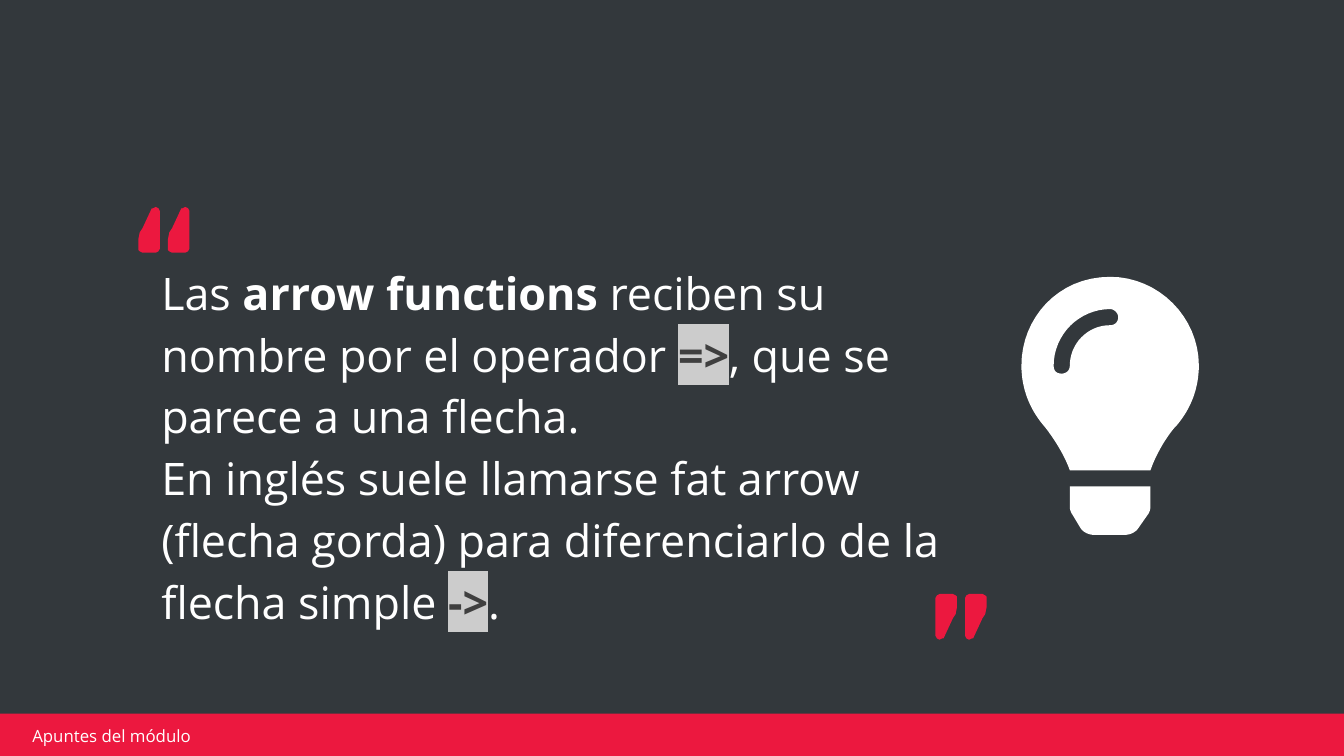
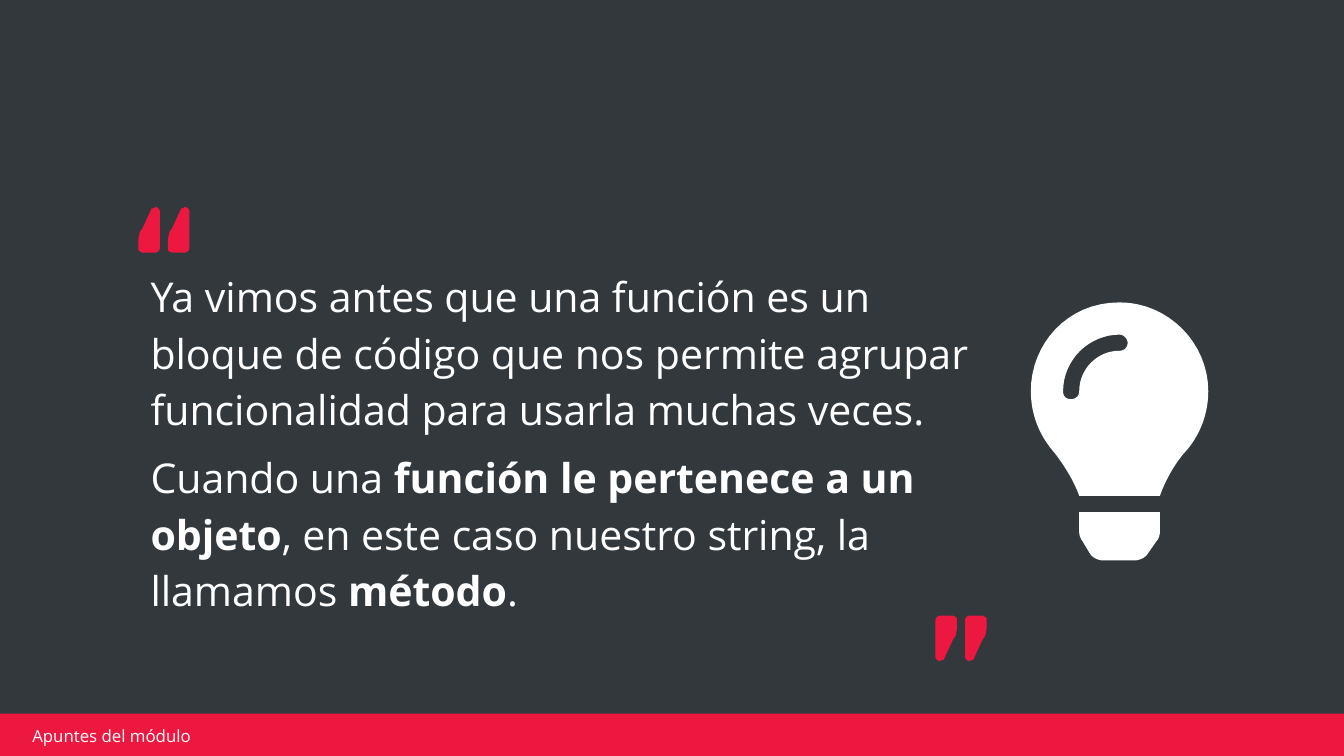
from lxml import etree
from pptx import Presentation
from pptx.dml.color import RGBColor
from pptx.enum.shapes import MSO_SHAPE
from pptx.enum.text import MSO_ANCHOR, MSO_AUTO_SIZE, PP_ALIGN
from pptx.oxml.ns import qn
from pptx.util import Inches, Pt

RECTANGLE = MSO_SHAPE.RECTANGLE
MIDDLE = MSO_ANCHOR.MIDDLE
NO_AUTOFIT = MSO_AUTO_SIZE.NONE
LEFT = PP_ALIGN.LEFT

DARK = RGBColor(0x33, 0x38, 0x3C)
RED = RGBColor(0xEC, 0x18, 0x3F)
WHITE = RGBColor(0xFF, 0xFF, 0xFF)
CODE_TEXT = RGBColor(0x3F, 0x3F, 0x3F)
CODE_BACK = RGBColor(0xCC, 0xCC, 0xCC)
FONT = "Open Sans"

FOOTER = "Apuntes del módulo"
NORMAL, BOLD, CODE = "normal", "bold", "code"

QUOTES = [
    {
        "area": (1.1, 1.96, 6.05, 2.67),
        "size": 24,
        "space_before": 0,
        "bulb": (7.6, 2.06),
        "closing_top": 4.42,
        "paragraphs": [
            [
                ("Las ", NORMAL),
                ("arrow functions", BOLD),
                (" reciben su nombre por el operador ", NORMAL),
                ("=>", CODE),
                (", que se parece a una flecha.", NORMAL),
            ],
            [
                ("En inglés suele llamarse fat arrow (flecha gorda) "
                 "para diferenciarlo de la flecha simple ", NORMAL),
                ("->", CODE),
                (".", NORMAL),
            ],
        ],
    },
    {
        "area": (1.02, 2.16, 6.6, 2.22),
        "size": 22,
        "space_before": 6,
        "bulb": (7.67, 2.25),
        "closing_top": 4.58,
        "paragraphs": [
            [
                ("Ya vimos antes que una función es un bloque de código que nos "
                 "permite agrupar funcionalidad para usarla muchas veces.", NORMAL),
            ],
            [
                ("Cuando una ", NORMAL),
                ("función le pertenece a un objeto", BOLD),
                (", en este caso nuestro string, la llamamos ", NORMAL),
                ("método", BOLD),
                (".", NORMAL),
            ],
        ],
    },
]

OPENING_MARKS = (1.03, 1.54)
CLOSING_LEFT = 6.96
MARK_PITCH = 0.22
MARK = [
    (0.13, 0), (0.11, 0.01), (0.1, 0.01), (0.03, 0.16), (0.01, 0.19),
    (0, 0.24), (0, 0.32), (0.01, 0.33), (0.03, 0.34), (0.13, 0.34),
    (0.15, 0.33), (0.16, 0.31), (0.16, 0.03), (0.15, 0.01),
]

BULB_BASE = [
    [(0.36, 1.71)],
    [(0.36, 1.73), (0.37, 1.76), (0.38, 1.77)],
    [(0.44, 1.87)],
    [(0.46, 1.9), (0.5, 1.92), (0.54, 1.92)],
    [(0.77, 1.92)],
    [(0.81, 1.92), (0.85, 1.9), (0.87, 1.87)],
    [(0.94, 1.77)],
    [(0.95, 1.76), (0.96, 1.73), (0.96, 1.71)],
    [(0.96, 1.56)],
    [(0.36, 1.56)],
]
BULB_GLASS = [
    [(0, 0.66)],
    [(0, 0.83), (0.06, 0.98), (0.16, 1.1)],
    [(0.22, 1.17), (0.32, 1.32), (0.36, 1.44)],
    [(0.96, 1.44)],
    [(1, 1.32), (1.09, 1.17), (1.16, 1.1)],
    [(1.26, 0.98), (1.32, 0.83), (1.32, 0.66)],
    [(1.32, 0.3), (1.02, 0), (0.66, 0)],
    [(0.27, 0), (0, 0.31), (0, 0.66)],
]
BULB_SHINE = [
    [(0.66, 0.36)],
    [(0.49, 0.36), (0.36, 0.5), (0.36, 0.66)],
    [(0.36, 0.7), (0.33, 0.72), (0.3, 0.72)],
    [(0.26, 0.72), (0.24, 0.7), (0.24, 0.66)],
    [(0.24, 0.43), (0.43, 0.24), (0.66, 0.24)],
    [(0.69, 0.24), (0.72, 0.27), (0.72, 0.3)],
    [(0.72, 0.34), (0.69, 0.36), (0.66, 0.36)],
]
CURVE_STEPS = 16


def flatten(segments):
    points = list(segments[0])
    for segment in segments[1:]:
        if len(segment) == 1:
            points += segment
            continue
        controls = [points[-1], *segment]
        for step in range(1, CURVE_STEPS + 1):
            t = step / CURVE_STEPS
            weights = ((1 - t) ** 3, 3 * t * (1 - t) ** 2, 3 * t * t * (1 - t), t ** 3)
            points.append(tuple(
                sum(weight * control[axis] for weight, control in zip(weights, controls))
                for axis in (0, 1)
            ))
    return points


def paint(shape, color):
    shape.shadow.inherit = False
    shape.fill.solid()
    shape.fill.fore_color.rgb = color
    shape.line.fill.background()


def add_outline(shapes, left, top, contours, color):
    placed = [[(Inches(left + x), Inches(top + y)) for x, y in contour]
              for contour in contours]
    builder = shapes.build_freeform(*placed[0][0])
    builder.add_line_segments(placed[0][1:])
    for contour in placed[1:]:
        builder.move_to(*contour[0])
        builder.add_line_segments(contour[1:])
    shape = builder.convert_to_shape()
    paint(shape, color)
    return shape


def add_marks(page, left, top, rotation):
    group = page.shapes.add_group_shape()
    for index in range(2):
        mark = add_outline(group.shapes, left + index * MARK_PITCH, top, [MARK], RED)
        mark.rotation = rotation


def set_frame(frame, horizontal, vertical):
    frame.word_wrap = True
    frame.auto_size = NO_AUTOFIT
    frame.vertical_anchor = MIDDLE
    frame.margin_left = frame.margin_right = Inches(horizontal)
    frame.margin_top = frame.margin_bottom = Inches(vertical)


def add_span(para, text, size, style=NORMAL):
    span = para.add_run()
    span.text = text
    span.font.size = Pt(size)
    span.font.bold = style != NORMAL
    span.font.color.rgb = CODE_TEXT if style == CODE else WHITE
    if style == CODE:
        highlight = etree.SubElement(span._r.get_or_add_rPr(), qn("a:highlight"))
        etree.SubElement(highlight, qn("a:srgbClr"), val=str(CODE_BACK))
    span.font.name = FONT


def add_quote(page, quote):
    title = page.shapes.title.element
    title.getparent().remove(title)
    body = page.placeholders[1]
    body.left, body.top, body.width, body.height = map(Inches, quote["area"])
    frame = body.text_frame
    set_frame(frame, 0.1, 0.05)
    for index, spans in enumerate(quote["paragraphs"]):
        para = frame.add_paragraph() if index else frame.paragraphs[0]
        properties = para._p.get_or_add_pPr()
        properties.set("marL", "0")
        properties.set("indent", "0")
        etree.SubElement(properties, qn("a:buNone"))
        para.alignment = LEFT
        para.line_spacing = 1.15
        para.space_before = Pt(quote["space_before"] if index else 0)
        for text, style in spans:
            add_span(para, text, quote["size"], style)


def add_footer(page):
    band = page.shapes.add_shape(
        RECTANGLE, Inches(-0.02), Inches(5.31), Inches(10.03), Inches(0.36))
    paint(band, RED)
    box = page.shapes.add_textbox(Inches(0.19), Inches(5.4), Inches(2.39), Inches(0.15))
    set_frame(box.text_frame, 0.05, 0.02)
    add_span(box.text_frame.paragraphs[0], FOOTER, 9)


def main():
    deck = Presentation()
    deck.slide_width = Inches(10)
    deck.slide_height = Inches(10) * 9 // 16
    bulb = [flatten(part) for part in (BULB_BASE, BULB_GLASS, BULB_SHINE)]
    for quote in QUOTES:
        page = deck.slides.add_slide(deck.slide_layouts[1])
        page.background.fill.solid()
        page.background.fill.fore_color.rgb = DARK
        add_quote(page, quote)
        add_outline(page.shapes, *quote["bulb"], bulb, WHITE)
        add_marks(page, *OPENING_MARKS, 0)
        add_marks(page, CLOSING_LEFT, quote["closing_top"], 180)
        add_footer(page)
    deck.save("out.pptx")


if __name__ == "__main__":
    main()
